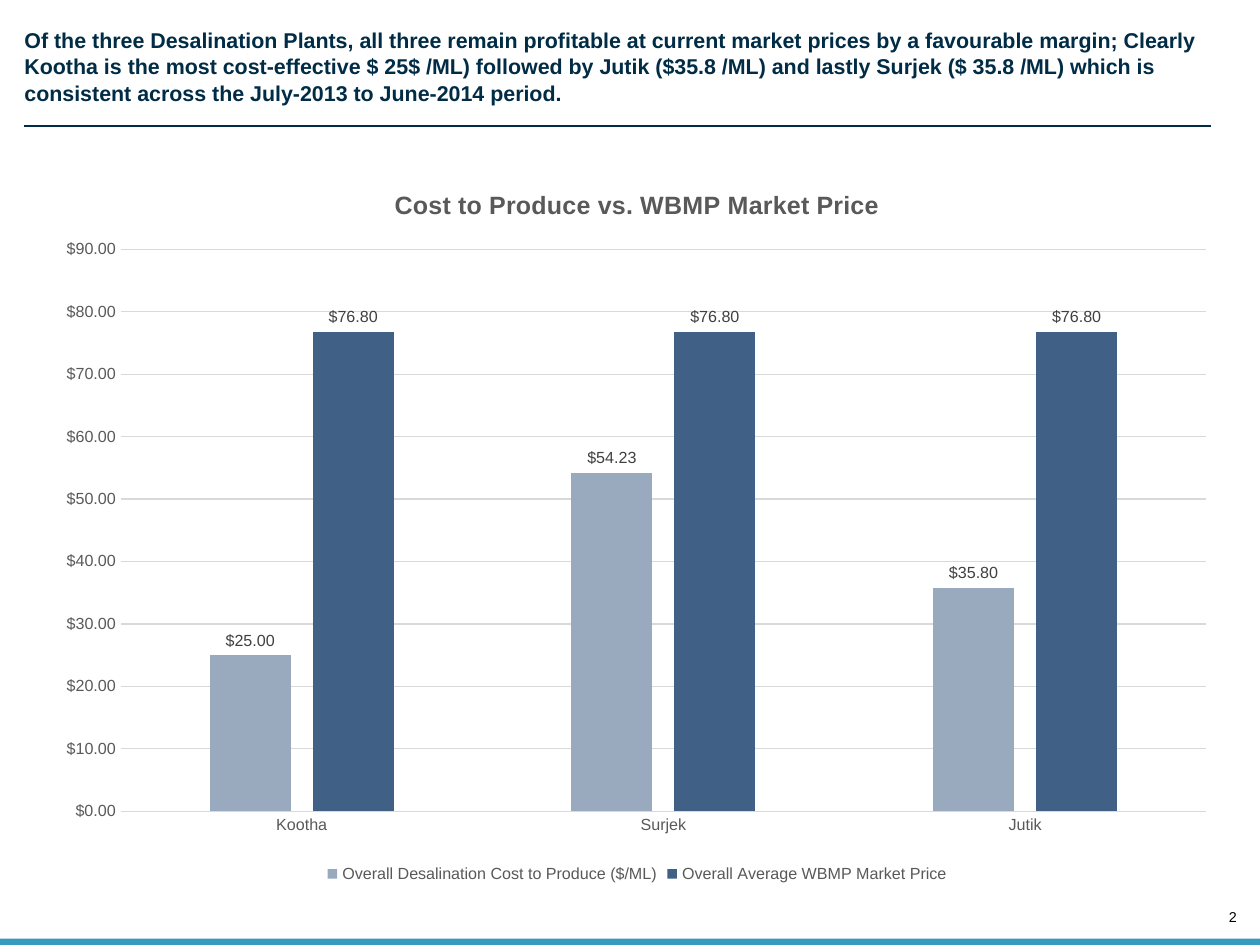
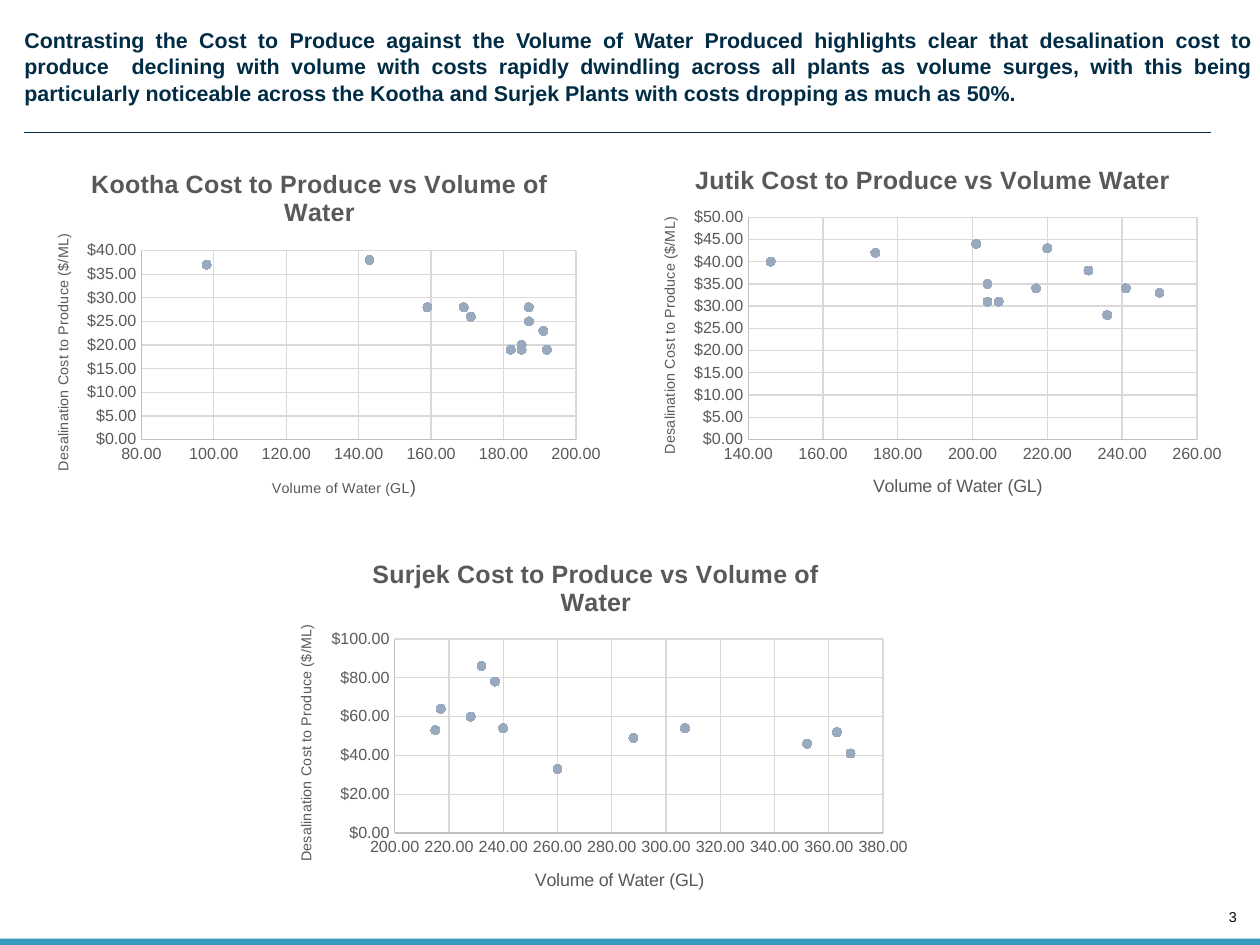
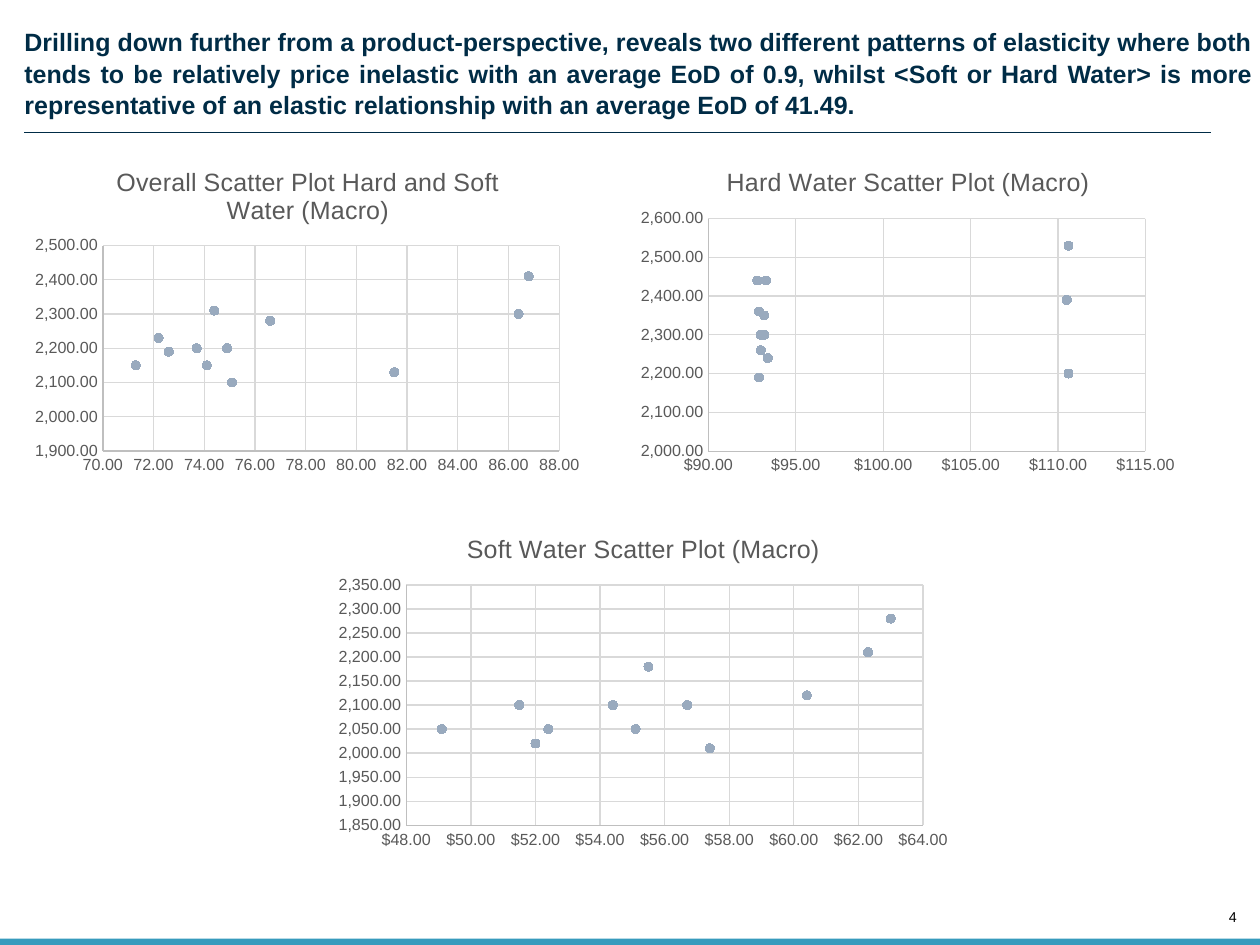
from lxml import etree
from pptx import Presentation
from pptx.chart.data import CategoryChartData, XyChartData
from pptx.dml.color import RGBColor
from pptx.enum import chart as charts, shapes, text
from pptx.oxml import ns
from pptx.util import Inches, Pt

NAVY = RGBColor(0x00, 0x2C, 0x46)
TEAL = RGBColor(0x37, 0x9B, 0xBD)
BLACK = RGBColor(0x00, 0x00, 0x00)
GREY = RGBColor(0x59, 0x59, 0x59)
LABEL_GREY = RGBColor(0x40, 0x40, 0x40)
GRID_GREY = RGBColor(0xD9, 0xD9, 0xD9)
AXIS_GREY = RGBColor(0xBF, 0xBF, 0xBF)
LIGHT_BLUE = RGBColor(0x99, 0xAA, 0xBE)
DARK_BLUE = RGBColor(0x40, 0x60, 0x85)
FONT = "Arial"
SLIDE_WIDTH, SLIDE_HEIGHT = 9.8, 7.35
LEFT = 0.19
DOLLARS = '"$"#,##0.00'
PLAIN = "#,##0.00"
JUSTIFY, ALIGN_LEFT = text.PP_ALIGN.JUSTIFY, text.PP_ALIGN.LEFT

COST_TITLE = [("Desalination Cost to Produce ($/ML)", 8)]
VOLUME_TITLE = [("Volume of Water (GL)", 10)]

# Each box and plot is left, top, width, height; each scale is low, high, step.
COST_COLUMNS = {
    "title": "Cost to Produce vs. WBMP Market Price",
    "box": (0.34, 1.27, 9.23, 5.64), "plot": (0.94, 1.94, 8.44, 4.37),
    "plants": ["Kootha", "Surjek", "Jutik"],
    "series": [
        ("Overall Desalination Cost to Produce ($/ML)", (25, 54.23, 35.8), LIGHT_BLUE),
        ("Overall Average WBMP Market Price", (76.8, 76.8, 76.8), DARK_BLUE),
    ],
    "y_scale": (0, 90, 10),
}
VOLUME_SCATTERS = [
    {"title": "Kootha Cost to Produce vs Volume of Water", "bold": True,
     "box": (0.19, 1.16, 4.59, 2.93), "plot": (1.1, 1.95, 3.38, 1.47),
     "x_scale": (80, 200, 20), "y_scale": (0, 40, 5),
     "x_format": PLAIN, "y_format": DOLLARS,
     "x_title": [("Volume of Water (GL", 8), (")", 10)], "y_title": COST_TITLE,
     "x": (182, 182, 187, 185, 192, 98, 185, 187, 159, 191, 171, 169, 143),
     "y": (19, 19, 25, 20, 19, 37, 19, 28, 28, 23, 26, 28, 38)},
    {"title": "Surjek Cost to Produce vs Volume of Water", "bold": True,
     "box": (2.08, 4.19, 5.11, 2.96), "plot": (3.07, 4.97, 3.8, 1.51),
     "x_scale": (200, 380, 20), "y_scale": (0, 100, 20),
     "x_format": PLAIN, "y_format": DOLLARS,
     "x_title": VOLUME_TITLE, "y_title": COST_TITLE,
     "x": (215, 228, 217, 237, 232, 240, 288, 307, 368, 352, 363, 260),
     "y": (53, 60, 64, 78, 86, 54, 49, 54, 41, 46, 52, 33)},
    {"title": "Jutik Cost to Produce vs Volume Water", "bold": True,
     "box": (4.9, 1.13, 4.71, 2.96), "plot": (5.82, 1.69, 3.49, 1.73),
     "x_scale": (140, 260, 20), "y_scale": (0, 50, 5),
     "x_format": PLAIN, "y_format": DOLLARS,
     "x_title": VOLUME_TITLE, "y_title": COST_TITLE,
     "x": (250, 207, 201, 174, 204, 146, 204, 217, 231, 236, 241, 220),
     "y": (33, 31, 44, 42, 31, 40, 35, 34, 38, 28, 34, 43)},
]
ELASTICITY_SCATTERS = [
    {"title": "Overall Scatter Plot Hard and Soft Water (Macro)",
     "box": (0.19, 1.15, 4.41, 2.6), "plot": (0.8, 1.91, 3.55, 1.6),
     "x_scale": (70, 88, 2), "y_scale": (1900, 2500, 100),
     "x_format": PLAIN, "y_format": PLAIN,
     "x": (86.4, 86.8, 81.5, 72.6, 71.3, 72.2, 76.6, 74.9, 74.1, 75.1, 73.7, 74.4),
     "y": (2300, 2410, 2130, 2190, 2150, 2230, 2280, 2200, 2150, 2100, 2200, 2310)},
    {"title": "Hard Water Scatter Plot (Macro)",
     "box": (4.9, 1.15, 4.33, 2.6), "plot": (5.51, 1.7, 3.4, 1.81),
     "x_scale": (90, 115, 5), "y_scale": (2000, 2600, 100),
     "x_format": DOLLARS, "y_format": PLAIN,
     "x": (110.5, 110.6, 110.6, 93.2, 93.4, 92.9, 92.8, 93, 93, 92.9, 93.2, 93.3),
     "y": (2390, 2530, 2200, 2350, 2240, 2360, 2440, 2300, 2260, 2190, 2300, 2440)},
    {"title": "Soft Water Scatter Plot (Macro)",
     "box": (2.54, 4, 4.93, 2.66), "plot": (3.16, 4.55, 4.02, 1.87),
     "x_scale": (48, 64, 2), "y_scale": (1850, 2350, 50),
     "x_format": DOLLARS, "y_format": PLAIN,
     "x": (62.3, 63, 52.4, 52, 49.1, 51.5, 60.4, 56.7, 55.1, 57.4, 54.4, 55.5),
     "y": (2210, 2280, 2050, 2020, 2050, 2100, 2120, 2100, 2050, 2010, 2100, 2180)},
]
SLIDES = [
    {"headline": "Of the three Desalination Plants, all three remain profitable at current "
                 "market prices by a favourable margin; Clearly Kootha is the most "
                 "cost-effective $ 25$ /ML) followed by Jutik ($35.8 /ML) and lastly Surjek "
                 "($ 35.8 /ML) which is consistent across the July-2013 to June-2014 period.",
     "size": 12, "align": ALIGN_LEFT, "rule": 0.98,
     "columns": [COST_COLUMNS], "scatters": []},
    {"headline": "Contrasting the Cost to Produce against the Volume of Water Produced "
                 "highlights clear that desalination cost to produce  declining with volume "
                 "with costs rapidly dwindling across all plants as volume surges, with this "
                 "being particularly noticeable across the Kootha and Surjek Plants with "
                 "costs dropping as much as 50%.",
     "size": 12, "align": JUSTIFY, "rule": 1.03,
     "columns": [], "scatters": VOLUME_SCATTERS},
    {"headline": "Drilling down further from a product-perspective, reveals two different "
                 "patterns of elasticity where both tends to be relatively price inelastic "
                 "with an average EoD of 0.9, whilst <Soft or Hard Water> is more "
                 "representative of an elastic relationship with an average EoD of 41.49.",
     "size": 14, "align": JUSTIFY, "rule": 1.03,
     "columns": [], "scatters": ELASTICITY_SCATTERS},
]
FIRST_NUMBER = 2


def style_font(font, size, color, bold=False):
    """Set face, size, colour and weight of a font."""
    font.name, font.size, font.bold = FONT, Pt(size), bold
    font.color.rgb = color


def add_text(slide, content, box, *, size, color, bold=False, align=ALIGN_LEFT,
             anchor=text.MSO_ANCHOR.TOP, wrap=True, spacing=1.0):
    """Add a text box without margins."""
    frame = slide.shapes.add_textbox(*map(Inches, box)).text_frame
    frame.margin_left = frame.margin_right = frame.margin_top = frame.margin_bottom = 0
    frame.word_wrap, frame.vertical_anchor = wrap, anchor
    paragraph = frame.paragraphs[0]
    paragraph.alignment, paragraph.line_spacing = align, spacing
    run = paragraph.add_run()
    run.text = content
    style_font(run.font, size, color, bold)


def add_frame(slide, page, number):
    """Add headline, rule, footer band and slide number."""
    add_text(slide, str(number), (9.48, 7.07, 0.14, 0.13), size=8, color=BLACK,
             align=text.PP_ALIGN.RIGHT, anchor=text.MSO_ANCHOR.BOTTOM, wrap=False)
    band = slide.shapes.add_shape(shapes.MSO_SHAPE.RECTANGLE, 0, Inches(7.3),
                                  Inches(SLIDE_WIDTH), Inches(0.05))
    band.shadow.inherit = False
    band.fill.solid()
    band.fill.fore_color.rgb = TEAL
    band.line.fill.background()
    add_text(slide, page["headline"], (LEFT, 0.2, 9.56, 0.61), size=page["size"],
             color=NAVY, bold=True, align=page["align"], spacing=1.04)
    rule_y = Inches(page["rule"])
    rule = slide.shapes.add_connector(shapes.MSO_CONNECTOR.STRAIGHT, Inches(LEFT), rule_y,
                                      Inches(9.42), rule_y)
    rule.line.color.rgb, rule.line.width = NAVY, Pt(0.75)
    etree.SubElement(rule._element.spPr, ns.qn("a:effectLst"))


def write_title(title, runs, bold=False):
    """Fill a chart or axis title with (text, size) runs."""
    paragraph = title.text_frame.paragraphs[0]
    for content, size in runs:
        run = paragraph.add_run()
        run.text = content
        style_font(run.font, size, GREY, bold)


def place_plot(chart, box, plot):
    """Fix the inner plot area, given in slide inches."""
    area = chart._chartSpace.chart.plotArea
    for old in area.findall(ns.qn("c:layout")):
        area.remove(old)
    layout = etree.Element(ns.qn("c:layout"))
    manual = etree.SubElement(layout, ns.qn("c:manualLayout"))
    fractions = [(plot[0] - box[0]) / box[2], (plot[1] - box[1]) / box[3],
                 plot[2] / box[2], plot[3] / box[3]]
    settings = [("layoutTarget", "inner"), ("xMode", "edge"), ("yMode", "edge")]
    settings += zip("xywh", fractions)
    for name, value in settings:
        etree.SubElement(manual, ns.qn("c:" + name)).set("val", str(value))
    area.insert(0, layout)


def style_axis(axis, *, scale=None, number_format=None, title=None, line=AXIS_GREY, grid=True):
    """Set scale, labels, title, line and gridlines of an axis."""
    axis.major_tick_mark = axis.minor_tick_mark = charts.XL_TICK_MARK.NONE
    style_font(axis.tick_labels.font, 9, GREY)
    if scale:
        axis.minimum_scale, axis.maximum_scale, axis.major_unit = scale
    if number_format:
        axis.tick_labels.number_format = number_format
        axis.tick_labels.number_format_is_linked = False
    if line is None:
        axis.format.line.fill.background()
    else:
        axis.format.line.color.rgb, axis.format.line.width = line, Pt(0.75)
    axis.has_major_gridlines = grid
    if grid:
        grid_line = axis.major_gridlines.format.line
        grid_line.color.rgb, grid_line.width = GRID_GREY, Pt(0.75)
    axis.has_title = bool(title)
    if title:
        write_title(axis.axis_title, title)


def add_chart(slide, kind, content, data):
    """Add a chart with its title and fixed plot area."""
    chart = slide.shapes.add_chart(kind, *map(Inches, content["box"]), data).chart
    style_font(chart.font, 10, BLACK)
    chart.has_legend = False
    chart.has_title = True
    write_title(chart.chart_title, [(content["title"], 14)], content.get("bold", False))
    place_plot(chart, content["box"], content["plot"])
    return chart


def add_columns(slide, content):
    """Add a clustered column chart with value labels."""
    data = CategoryChartData()
    data.categories = content["plants"]
    for name, values, _ in content["series"]:
        data.add_series(name, values)
    chart = add_chart(slide, charts.XL_CHART_TYPE.COLUMN_CLUSTERED,
                      {**content, "bold": True}, data)
    style_axis(chart.category_axis, line=GRID_GREY, grid=False)
    style_axis(chart.value_axis, scale=content["y_scale"], number_format=DOLLARS, line=None)
    chart.has_legend = True
    chart.legend.position = charts.XL_LEGEND_POSITION.BOTTOM
    chart.legend.include_in_layout = False
    style_font(chart.legend.font, 9, GREY)
    plot = chart.plots[0]
    plot.gap_width, plot.overlap, plot.vary_by_categories = 219, -27, False
    for series, (_, _, color) in zip(plot.series, content["series"]):
        series.format.fill.solid()
        series.format.fill.fore_color.rgb = color
        labels = series.data_labels
        labels.show_value = True
        labels.position = charts.XL_LABEL_POSITION.OUTSIDE_END
        labels.number_format, labels.number_format_is_linked = DOLLARS, False
        style_font(labels.font, 9, LABEL_GREY)


def add_scatter(slide, content):
    """Add a scatter chart of round markers."""
    data = XyChartData()
    points = data.add_series("Series 1")
    for x, y in zip(content["x"], content["y"]):
        points.add_data_point(x, y)
    chart = add_chart(slide, charts.XL_CHART_TYPE.XY_SCATTER, content, data)
    for axis, name in ((chart.category_axis, "x"), (chart.value_axis, "y")):
        style_axis(axis, scale=content[name + "_scale"], number_format=content[name + "_format"],
                   title=content.get(name + "_title"))
    chart.plots[0].vary_by_categories = False
    series = chart.plots[0].series[0]
    series.smooth = False
    series.format.line.fill.background()
    marker = series.marker
    marker.style, marker.size = charts.XL_MARKER_STYLE.CIRCLE, 5
    marker.format.fill.solid()
    marker.format.fill.fore_color.rgb = LIGHT_BLUE
    marker.format.line.color.rgb = LIGHT_BLUE


presentation = Presentation()
presentation.slide_width = Inches(SLIDE_WIDTH)
presentation.slide_height = Inches(SLIDE_HEIGHT)
for number, page in enumerate(SLIDES, FIRST_NUMBER):
    slide = presentation.slides.add_slide(presentation.slide_layouts[6])
    add_frame(slide, page, number)
    for content in page["columns"]:
        add_columns(slide, content)
    for content in page["scatters"]:
        add_scatter(slide, content)
presentation.save("out.pptx")
